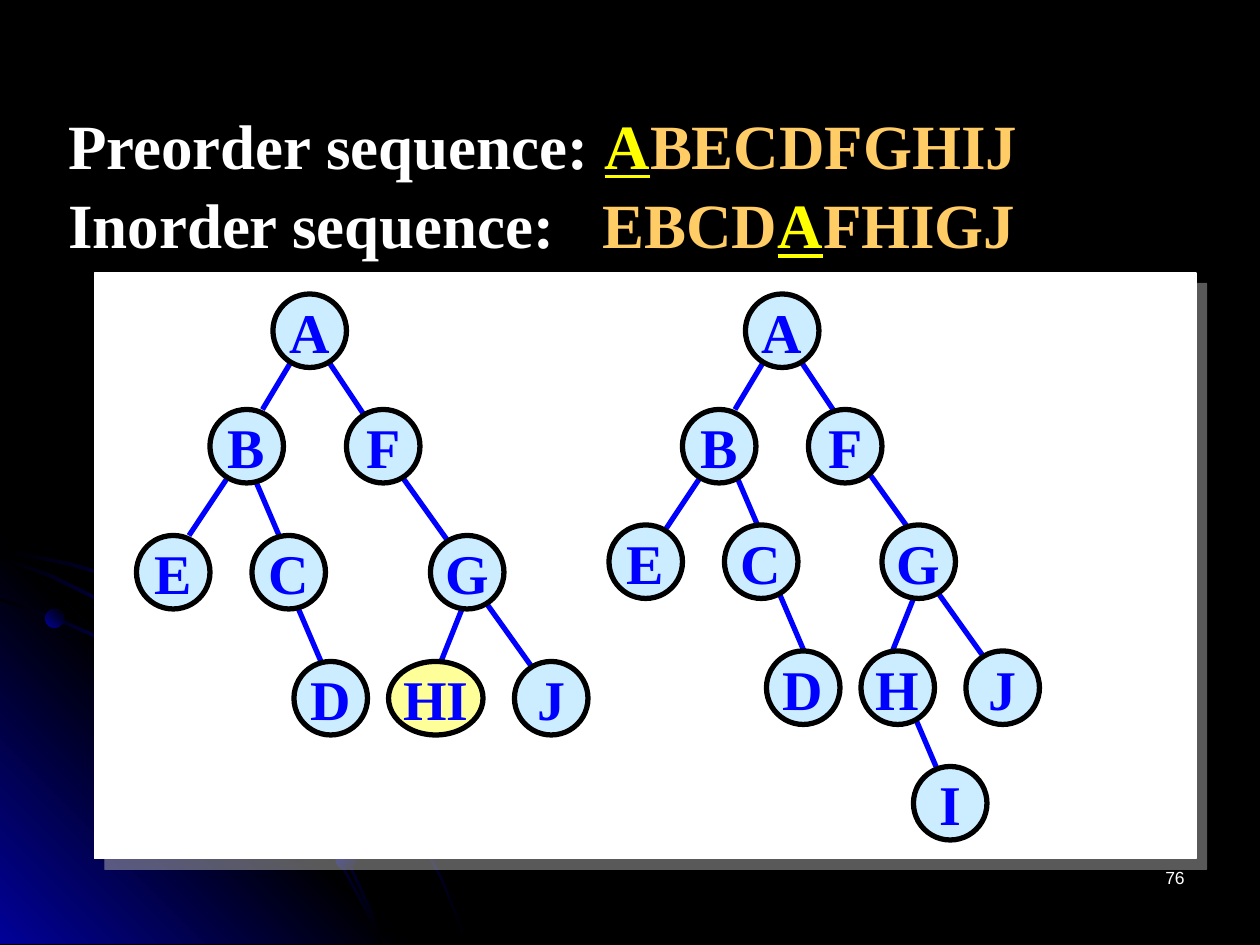
from lxml.etree import SubElement
from pptx import Presentation
from pptx.dml.color import RGBColor
from pptx.enum.shapes import MSO_CONNECTOR, MSO_SHAPE
from pptx.enum.text import MSO_ANCHOR, PP_ALIGN
from pptx.oxml.ns import qn
from pptx.util import Pt

SCALE = 7620
NODE = 70
SERIF = "Times New Roman"
COLORS = {
    "black": "000000", "white": "FFFFFF", "navy": "010199", "blue": "0000FF",
    "sky": "CCECFF", "cream": "FFFF99", "yellow": "FFFF00",
    "gold": "FFCC66", "gray": "B2B2B2",
}
ARCS = [
    [(68, 536), (34, 529), (0, 522), (0, 526), (34, 532), (67, 539),
     (116, 553), (162, 574), (208, 599), (250, 628), (289, 659), (325, 695),
     (358, 734), (388, 779), (404, 808), (420, 838), (432, 868), (444, 899),
     (446, 899), (434, 868), (422, 838), (407, 808), (390, 778), (360, 733),
     (326, 694), (290, 658), (251, 625), (209, 596), (163, 572), (118, 551)],
    [(342, 857), (353, 878), (361, 899), (364, 899), (355, 876), (343, 854),
     (319, 811), (290, 768), (258, 727), (221, 691), (182, 659), (140, 631),
     (95, 606), (49, 586), (0, 570), (0, 572), (47, 588), (92, 608),
     (138, 634), (180, 661), (220, 694), (256, 730), (288, 770), (318, 812)],
    [(0, 530), (0, 533), (43, 548), (89, 570), (131, 593), (170, 622),
     (208, 653), (242, 690), (272, 726), (302, 769), (320, 800), (336, 833),
     (350, 866), (361, 899), (364, 899), (353, 864), (338, 832), (323, 798),
     (305, 767), (275, 724), (245, 688), (210, 652), (173, 619), (133, 592),
     (91, 568), (47, 546)],
]
WEDGE = [(386, 899), (0, 899), (0, 512)]
LEFT_NODES = [
    ("A", 260, 280), ("B", 200, 390), ("F", 330, 390), ("G", 410, 510),
    ("C", 240, 510), ("E", 130, 510), ("D", 280, 630),
    ("HI", 370, 630, 90, "cream"), ("J", 490, 630),
]
LEFT_EDGES = [
    (280, 340, 250, 390), (220, 450, 180, 510), (460, 570, 510, 640),
    (310, 340, 350, 400), (380, 450, 430, 520), (240, 450, 270, 520),
    (280, 570, 310, 640), (440, 580, 420, 630),
]
RIGHT_NODES = [
    ("A", 710, 280), ("B", 650, 390), ("E", 580, 500), ("C", 690, 500),
    ("D", 730, 620), ("F", 770, 390), ("G", 840, 500), ("J", 920, 620),
    ("H", 820, 620), ("I", 870, 730),
]
RIGHT_EDGES = [
    (730, 340, 700, 390), (670, 450, 630, 510), (700, 450, 730, 520),
    (740, 560, 770, 630), (760, 340, 800, 400), (890, 560, 940, 630),
    (870, 570, 850, 620), (870, 680, 900, 750), (820, 440, 870, 510),
]


def px(*sizes):
    return [size * SCALE for size in sizes]


def rgb(name):
    return RGBColor.from_string(COLORS[name])


def add_run(para, text, size, color, font=SERIF, bold=True, under=False):
    run = para.add_run()
    run.text = text
    run.font.name = font
    run.font.size = Pt(size)
    run.font.bold = bold
    run.font.underline = under
    run.font.color.rgb = rgb(color)


def paint(shape, fill, line, width):
    shape.shadow.inherit = False
    shape.fill.solid()
    shape.fill.fore_color.rgb = rgb(fill)
    shape.line.color.rgb = rgb(line)
    shape.line.width = Pt(width)


def blend(shape, names, angle):
    shape.shadow.inherit = False
    shape.line.fill.background()
    shape.fill.gradient()
    grad = shape.fill._xPr.find(qn("a:gradFill"))
    for part in list(grad):
        grad.remove(part)
    stops = SubElement(grad, qn("a:gsLst"))
    for step, name in enumerate(names):
        place = 100000 * step // (len(names) - 1)
        stop = SubElement(stops, qn("a:gs"), pos=str(place))
        SubElement(stop, qn("a:srgbClr"), val=COLORS[name])
    SubElement(grad, qn("a:lin"), ang=str(angle * 60000), scaled="0")


def add_curve(slide, points, names, angle):
    start, *rest = points
    pen = slide.shapes.build_freeform(*start, scale=SCALE)
    pen.add_line_segments(rest, close=True)
    blend(pen.convert_to_shape(), names, angle)


def add_dot(slide, box, angle):
    dot = slide.shapes.add_shape(MSO_SHAPE.OVAL, *px(*box))
    blend(dot, ["navy", "black"], angle)


def add_decor(slide):
    glow = ["black", "navy", "black"]
    add_curve(slide, ARCS[0], glow, 45)
    add_curve(slide, WEDGE, ["navy", "black", "navy"], 315)
    for arc in ARCS[1:]:
        add_curve(slide, arc, glow, 45)
    add_dot(slide, (43, 580, 18, 18), 315)
    add_dot(slide, (320, 809, 19, 19), 45)


def add_panel(slide):
    panel = slide.shapes.add_shape(MSO_SHAPE.RECTANGLE, *px(90, 260, 1049, 558))
    paint(panel, "white", "white", 0.75)
    effects = panel._element.spPr.find(qn("a:effectLst"))
    shade = SubElement(effects, qn("a:outerShdw"), dist=str(Pt(8.5)),
                       dir=str(45 * 60000), algn="ctr", rotWithShape="0")
    tint = SubElement(shade, qn("a:srgbClr"), val=COLORS["gray"])
    SubElement(tint, qn("a:alpha"), val="50000")


def add_edge(group, ends):
    edge = group.shapes.add_connector(MSO_CONNECTOR.STRAIGHT, *px(*ends))
    edge.line.color.rgb = rgb("blue")
    edge.line.width = Pt(3)
    SubElement(edge._element.spPr, qn("a:effectLst"))


def add_node(group, label, left, top, width=NODE, fill="sky"):
    node = group.shapes.add_shape(MSO_SHAPE.OVAL, *px(left, top, width, NODE))
    paint(node, fill, "black", 3)
    frame = node.text_frame
    frame.word_wrap = False
    frame.vertical_anchor = MSO_ANCHOR.MIDDLE
    para = frame.paragraphs[0]
    para.alignment = PP_ALIGN.CENTER
    add_run(para, label, 32, "blue")


def add_tree(slide, nodes, edges):
    group = slide.shapes.add_group_shape()
    for ends in edges:
        add_edge(group, ends)
    for node in nodes:
        add_node(group, *node)


def add_title(slide):
    rows = [
        [("Preorder sequence: ", "white"), ("A", "yellow"), ("BECDFGHIJ", "gold")],
        [("Inorder sequence:\t", "white"), ("EBCD", "gold"), ("A", "yellow"),
         ("FHIGJ", "gold")],
    ]
    frame = slide.shapes.add_textbox(*px(53, 92, 930, 156)).text_frame
    frame.word_wrap = True
    for index, row in enumerate(rows):
        para = frame.add_paragraph() if index else frame.paragraphs[0]
        para.line_spacing = 1.05
        tabs = SubElement(para._p.get_or_add_pPr(), qn("a:tabLst"))
        SubElement(tabs, qn("a:tab"), pos=str(509 * SCALE), algn="l")
        for text, color in row:
            add_run(para, text, 36, color, under=color == "yellow")


def add_number(slide):
    frame = slide.shapes.add_textbox(*px(860, 820, 280, 60)).text_frame
    frame.word_wrap = True
    para = frame.paragraphs[0]
    para.alignment = PP_ALIGN.RIGHT
    add_run(para, "76", 10, "white", "Arial", False)


def main():
    deck = Presentation()
    deck.slide_width, deck.slide_height = px(1200, 900)
    slide = deck.slides.add_slide(deck.slide_layouts[6])
    slide.background.fill.solid()
    slide.background.fill.fore_color.rgb = rgb("black")
    add_decor(slide)
    add_panel(slide)
    add_tree(slide, LEFT_NODES, LEFT_EDGES)
    add_tree(slide, RIGHT_NODES, RIGHT_EDGES)
    add_title(slide)
    add_number(slide)
    deck.save("out.pptx")


if __name__ == "__main__":
    main()
